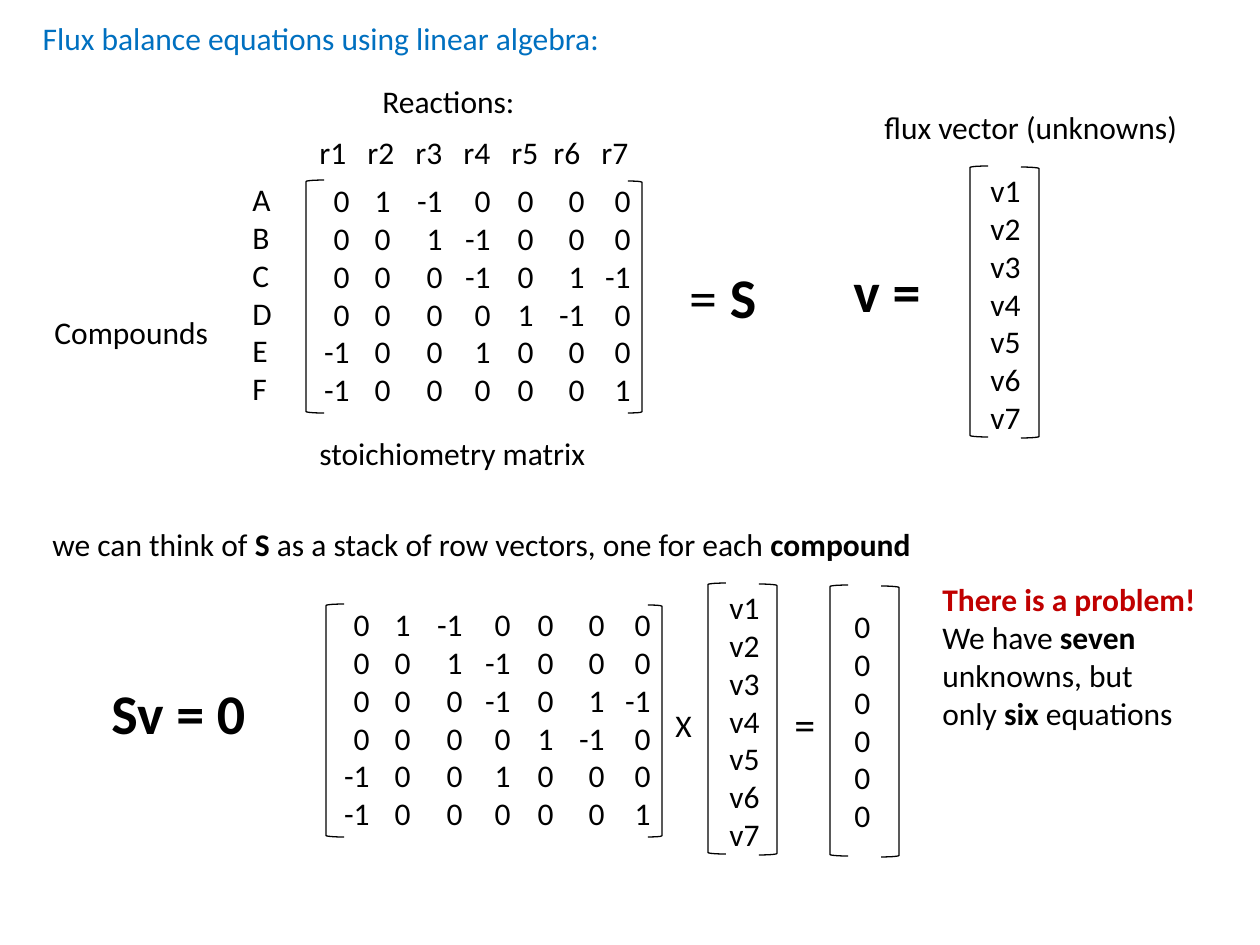
"""Build a slide on flux balance equations in matrix form."""
from lxml.etree import SubElement
from pptx import Presentation
from pptx.dml.color import RGBColor
from pptx.enum.shapes import MSO_SHAPE as Kind
from pptx.enum.text import MSO_ANCHOR as Anchor, PP_ALIGN as Align
from pptx.oxml.ns import qn
from pptx.util import Pt

PX = 914400 / 126
BLACK = RGBColor(0x00, 0x00, 0x00)
BLUE = RGBColor(0x00, 0x70, 0xC0)
RED = RGBColor(0xC0, 0x00, 0x00)

ROWS = [
    (0, 1, -1, 0, 0, 0, 0),
    (0, 0, 1, -1, 0, 0, 0),
    (0, 0, 0, -1, 0, 1, -1),
    (0, 0, 0, 0, 1, -1, 0),
    (-1, 0, 0, 1, 0, 0, 0),
    (-1, 0, 0, 0, 0, 0, 1),
]
EDGES = (56, 97, 149, 197, 240, 291, 337)
FLUXES = [f"v{n}" for n in range(1, 8)]
TABS = (48, 96, 144, 192, 234, 282)


def emu(*vals):
    return [round(v * PX) for v in vals]


def fill(frame, lines, size=18, color=BLACK, align=Align.LEFT, wrap=False):
    """Write lines into a frame; parts between bars are bold."""
    frame.word_wrap = wrap
    frame.vertical_anchor = Anchor.TOP
    for i, line in enumerate(lines):
        para = frame.paragraphs[0] if i == 0 else frame.add_paragraph()
        para.alignment = align
        for j, part in enumerate(line.split("|")):
            if not part:
                continue
            run = para.add_run()
            run.text = part
            look = {"name": "Calibri", "size": Pt(size), "bold": j % 2 == 1}
            for key, val in look.items():
                setattr(run.font, key, val)
            run.font.color.rgb = color


def label(slide, box, lines, **look):
    frame = slide.shapes.add_textbox(*emu(*box)).text_frame
    fill(frame, lines, **look)
    return frame


def bracket(slide, kind, *box):
    shape = slide.shapes.add_shape(kind, *emu(*box))
    shape.shadow.inherit = False
    shape.fill.background()
    shape.line.color.rgb = BLACK
    shape.line.width = Pt(0.75)


def matrix(slide, x, y):
    """Draw the stoichiometry matrix with its bracket corner at x, y."""
    bracket(slide, Kind.LEFT_BRACKET, x, y, 18, 233)
    bracket(slide, Kind.RIGHT_BRACKET, x + 322, y + 1, 14, 232)
    for edge, col in zip(EDGES, zip(*ROWS)):
        label(slide, (x + edge - 60, y - 5, 60, 242), [str(n) for n in col],
              align=Align.RIGHT, wrap=True)


def vector(slide, x, y, items, dx, dy):
    """Draw a bracketed column whose text starts at dx, dy."""
    bracket(slide, Kind.LEFT_BRACKET, x, y, 18, 271)
    bracket(slide, Kind.RIGHT_BRACKET, x + 51, y + 1, 18, 271)
    label(slide, (x + dx, y + dy, 55, 38 * len(items) + 13), items)


def heads(slide):
    """Place the reaction names on tab stops."""
    names = "\t".join(f"r{n}" for n in range(1, 8))
    frame = label(slide, (307, 127, 339, 50), [names])
    stops = SubElement(frame.paragraphs[0]._p.get_or_add_pPr(), qn("a:tabLst"))
    for pos in emu(*TABS):
        SubElement(stops, qn("a:tab"), pos=str(pos), algn="l")


def main():
    deck = Presentation()
    deck.slide_width, deck.slide_height = emu(1260, 945)
    slide = deck.slides.add_slide(deck.slide_layouts[5])

    title = slide.shapes.title
    spots = dict(zip(("left", "top", "width", "height"), emu(30, 13, 590, 50)))
    for key, val in spots.items():
        setattr(title, key, val)
    fill(title.text_frame, ["Flux balance equations using linear algebra:"],
         color=BLUE)

    label(slide, (370, 76, 159, 50), ["Reactions:"])
    heads(slide)
    label(slide, (42, 307, 181, 50), ["Compounds"])
    label(slide, (240, 174, 45, 242), list("ABCDEF"))
    matrix(slide, 306, 180)
    label(slide, (307, 428, 362, 50), ["stoichiometry matrix"])
    label(slide, (677, 256, 93, 81), ["= |S"], size=32)
    label(slide, (872, 102, 321, 50), ["flux vector (unknowns)"])
    label(slide, (841, 250, 93, 81), ["|v ="], size=32)
    vector(slide, 970, 166, FLUXES, 8, -1)

    label(slide, (40, 519, 900, 50),
          ["we can think of |S| as a stack of row vectors, "
           "one for each |compound"])
    label(slide, (99, 672, 161, 81), ["|Sv = 0"], size=32)
    matrix(slide, 326, 604)
    label(slide, (663, 700, 42, 50), ["X"])
    vector(slide, 708, 583, FLUXES, 9, -1)
    label(slide, (782, 692, 47, 63), ["="], size=24)
    vector(slide, 830, 585, ["0"] * 6, 12, 16)

    note = label(slide, (930, 574, 292, 165),
                 ["|There is a problem!", "We have |seven| unknowns, but",
                  "only |six| equations"], wrap=True)
    note.paragraphs[0].runs[0].font.color.rgb = RED

    deck.save("out.pptx")


if __name__ == "__main__":
    main()
